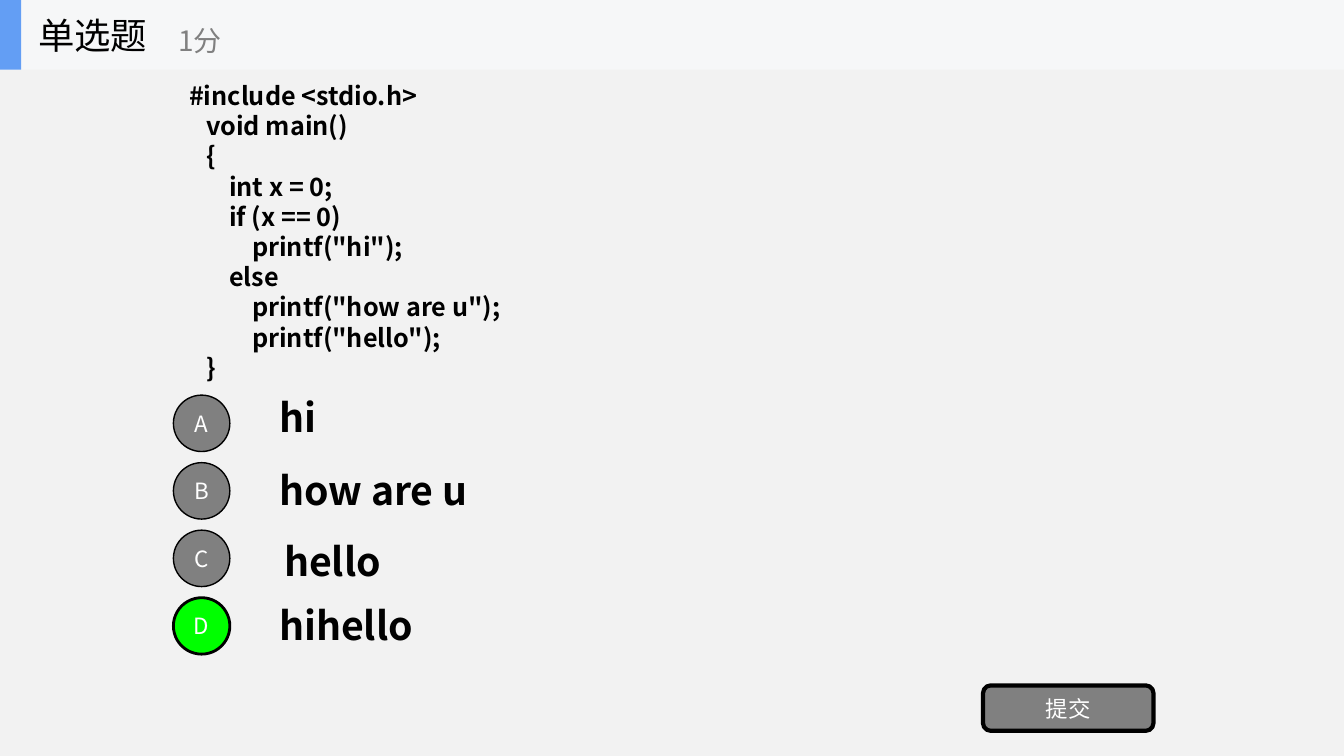
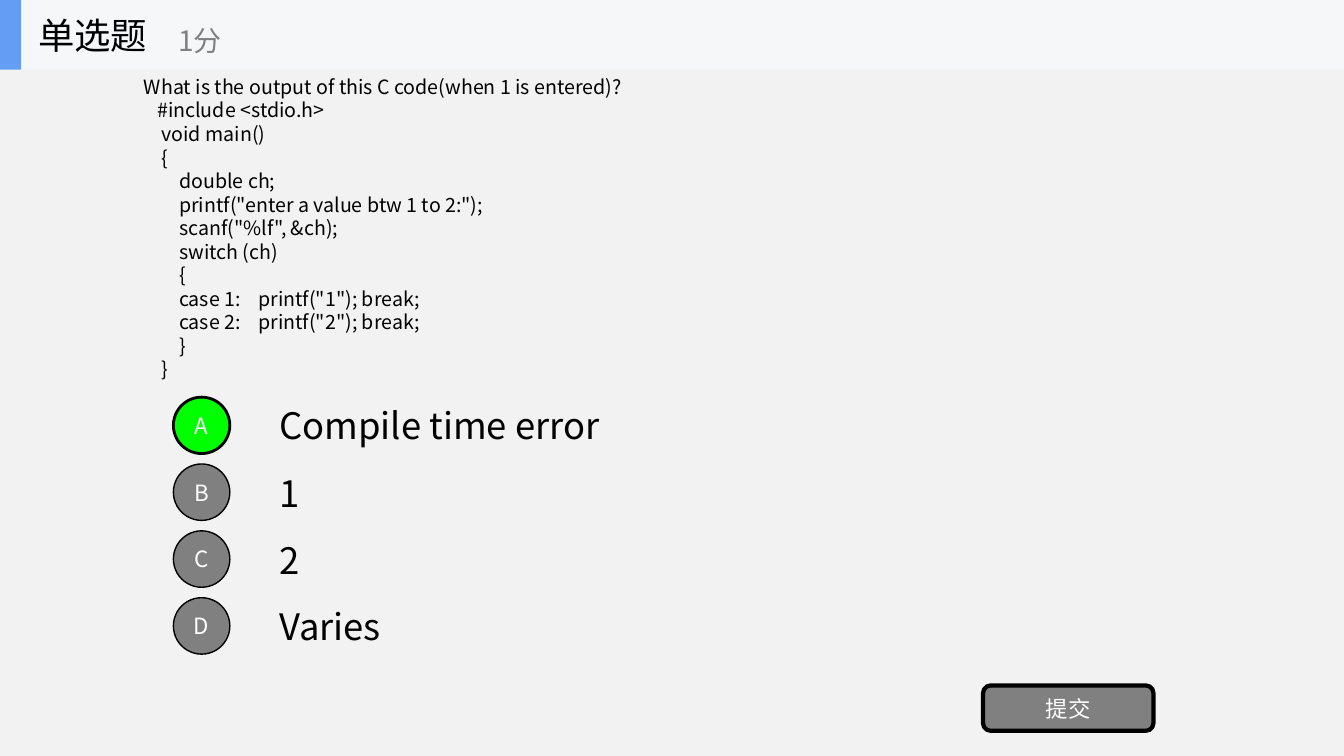
from pptx import Presentation
from pptx.dml.color import RGBColor
from pptx.enum.shapes import MSO_SHAPE
from pptx.enum.text import MSO_ANCHOR, PP_ALIGN
from pptx.oxml.ns import qn
from pptx.util import Inches, Pt

RECT, OVAL, ROUND = MSO_SHAPE.RECTANGLE, MSO_SHAPE.OVAL, MSO_SHAPE.ROUNDED_RECTANGLE
LEFT, CENTER, MIDDLE = PP_ALIGN.LEFT, PP_ALIGN.CENTER, MSO_ANCHOR.MIDDLE
FONT = "Noto Sans CJK SC"
BLACK, WHITE, GRAY, GREEN = "000000", "FFFFFF", "808080", "00FF00"
PAGE, BAND, BLUE = "F2F2F2", "F6F7F8", "639EF4"
WIDE, HIGH, HEAD = 13.33, 7.5, 0.69
DOT, DOT_X, LAST_Y = 0.56, 1.72, 5.93

TITLE, SCORE, SUBMIT = "单选题", "1分", "提交"
TASKS = [
    {
        "code": """ #include <stdio.h>
    void main()
    {
        int x = 0;
        if (x == 0)
            printf("hi");
        else
            printf("how are u");
            printf("hello");
    }""",
        "box": (1.72, 0.73, 7.11, 3.13),
        "size": 18,
        "bold": True,
        "label": 28,
        "top": 3.92,
        "right": "D",
        "picks": [("hi", 2.67, 3.85), ("how are u", 2.67, 4.58),
                  ("hello", 2.72, 5.28), ("hihello", 2.67, 5.92)],
    },
    {
        "code": """What is the output of this C code(when 1 is entered)?
   #include <stdio.h>
    void main()
    {
        double ch;
        printf("enter a value btw 1 to 2:");
        scanf("%lf", &ch);
        switch (ch)
        {
        case 1:    printf("1"); break;
        case 2:    printf("2"); break;
        }
    }""",
        "box": (1.33, 0.68, 9.93, 3.16),
        "size": 14,
        "bold": False,
        "label": 26,
        "top": 3.94,
        "right": "A",
        "picks": [("Compile time error", 2.67, 3.95), ("1", 2.67, 4.62),
                  ("2", 2.67, 5.29), ("Varies", 2.67, 5.94)],
    },
]


def color(code):
    return RGBColor.from_string(code)


def write(shape, text, size=16, ink=BLACK, bold=False, align=LEFT, pitch=None):
    frame = shape.text_frame
    frame.word_wrap = True
    frame.vertical_anchor = MIDDLE
    frame.text = text
    for para in frame.paragraphs:
        para.alignment = align
        if pitch:
            para.line_spacing = Pt(pitch)
        for run in para.runs:
            font = run.font
            font.name, font.size, font.bold = FONT, Pt(size), bold
            font.color.rgb = color(ink)
            east = run._r.get_or_add_rPr().makeelement(qn("a:ea"), {"typeface": FONT})
            font._element.find(qn("a:latin")).addnext(east)


def label(slide, box, text, **style):
    write(slide.shapes.add_textbox(*map(Inches, box)), text, **style)


def block(slide, kind, box, fill, line=0):
    shape = slide.shapes.add_shape(kind, *map(Inches, box))
    shape.shadow.inherit = False
    shape.fill.solid()
    shape.fill.fore_color.rgb = color(fill)
    if line:
        shape.line.color.rgb = color(BLACK)
        shape.line.width = Pt(line)
    else:
        shape.line.fill.background()
    return shape


def button(slide, kind, box, text, fill, line):
    write(block(slide, kind, box, fill, line), text, ink=WHITE, align=CENTER)


def header(slide):
    block(slide, RECT, (0, 0, WIDE, HEAD), BAND)
    block(slide, RECT, (0, 0, 0.21, HEAD), BLUE)
    label(slide, (0.28, 0, 2.08, HEAD), TITLE, size=26)
    label(slide, (1.67, 0.12, 2.5, 0.56), SCORE, size=20, ink=GRAY)


def build(deck, task):
    slide = deck.slides.add_slide(deck.slide_layouts[6])
    size, bold = task["size"], task["bold"]
    label(slide, task["box"], task["code"], size=size, bold=bold, pitch=size * 1.2)
    step = (LAST_Y - task["top"]) / (len(task["picks"]) - 1)
    for i, (text, left, top) in enumerate(task["picks"]):
        mark = "ABCD"[i]
        fill, line = (GREEN, 2) if mark == task["right"] else (GRAY, 1)
        high = task["label"] / 60 + 0.1
        label(slide, (left, top, 4.7, high), text, size=task["label"], bold=bold)
        spot = (DOT_X, task["top"] + i * step, DOT, DOT)
        button(slide, OVAL, spot, mark, fill, line)
    button(slide, ROUND, (9.75, 6.8, 1.69, 0.45), SUBMIT, GRAY, 3)
    header(slide)


def main():
    deck = Presentation()
    deck.slide_width, deck.slide_height = Inches(WIDE), Inches(HIGH)
    back = deck.slide_master.background.fill
    back.solid()
    back.fore_color.rgb = color(PAGE)
    for task in TASKS:
        build(deck, task)
    deck.save("out.pptx")


if __name__ == "__main__":
    main()
